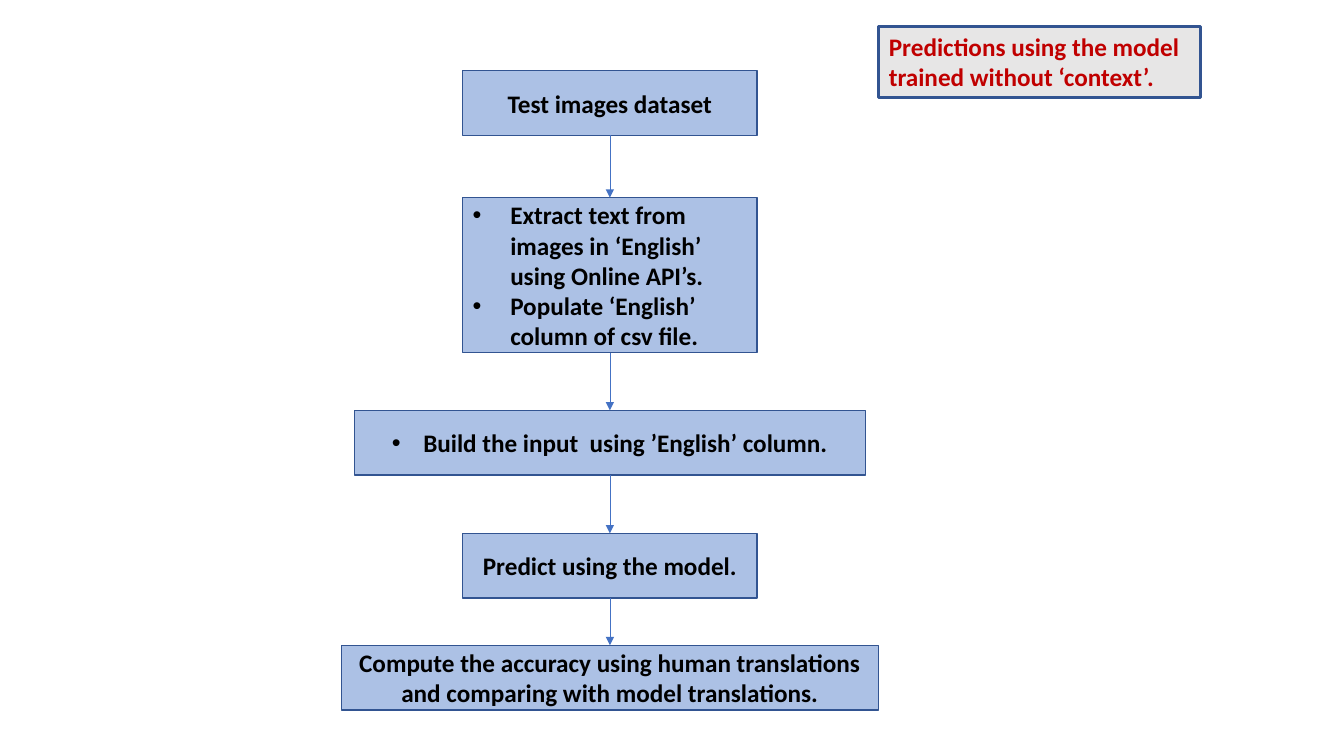
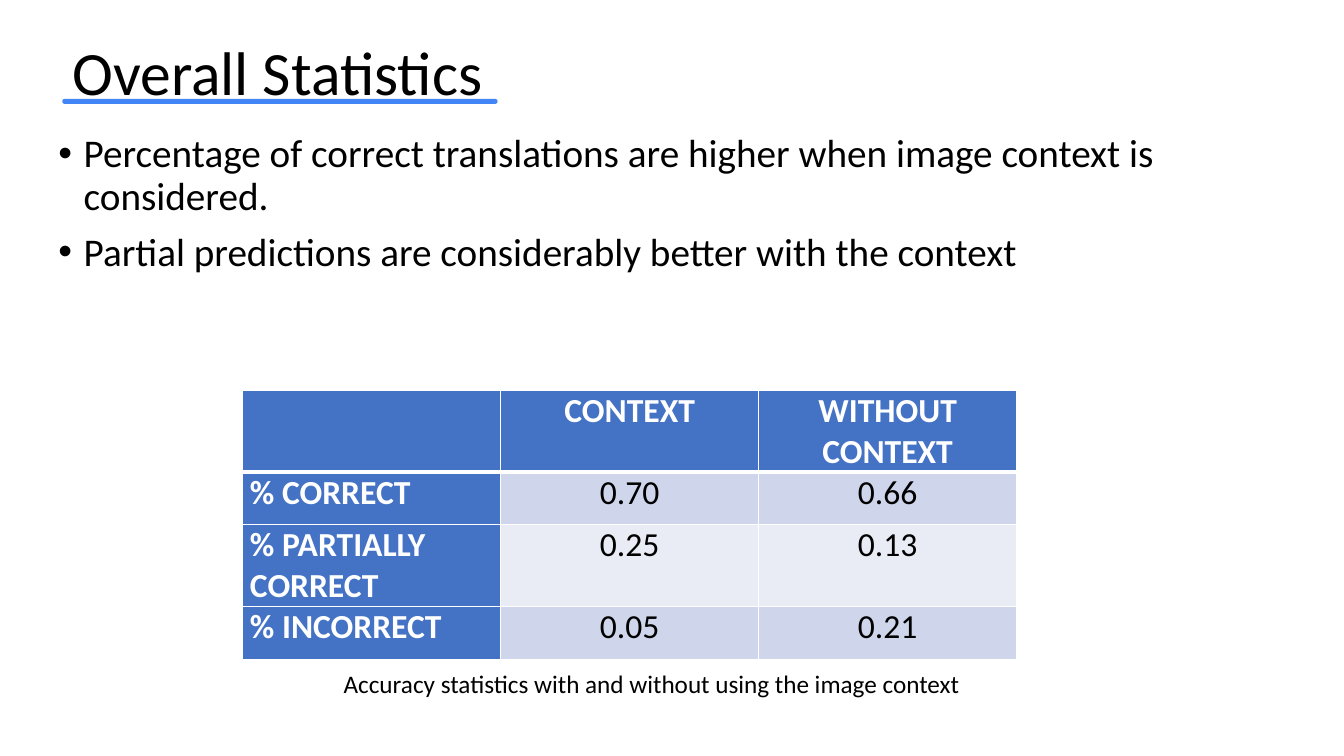
"""Builds a prediction flow chart slide and a slide of overall statistics."""
from itertools import pairwise

from lxml.etree import SubElement
from pptx import Presentation
from pptx.dml.color import RGBColor
from pptx.enum.shapes import MSO_CONNECTOR, MSO_SHAPE
from pptx.enum.text import MSO_ANCHOR, MSO_AUTO_SIZE, PP_ALIGN
from pptx.oxml import parse_xml
from pptx.oxml.ns import nsdecls, qn
from pptx.util import Cm, Pt

FONT = "Calibri"
COLORS = {
    "blue": "4472C4", "outline": "325491", "rule": "4285F4", "grey": "E7E6E6",
    "red": "C00000", "black": "000000", "white": "FFFFFF",
    "band_dark": "CFD5EA", "band_light": "E9EBF5",
}

FLOW_CENTER = 15.37
FLOW_STEPS = [
    {"top": 1.78, "width": 7.42, "height": 1.63, "lines": ["Test images dataset"]},
    {"top": 4.98, "width": 7.42, "height": 3.91, "indent": 0.95, "align": PP_ALIGN.LEFT,
     "lines": ["Extract text from images in ‘English’ using Online API’s.",
               "Populate ‘English’ column of csv file."]},
    {"top": 10.34, "width": 12.88, "height": 1.63, "indent": 0.79,
     "lines": ["Build the input  using ’English’ column."]},
    {"top": 13.44, "width": 7.42, "height": 1.63, "lines": ["Predict using the model."]},
    {"top": 16.26, "width": 13.54, "height": 1.63,
     "lines": ["Compute the accuracy using human translations and comparing "
               "with model translations."]},
]
FLOW_NOTE = "Predictions using the model trained without ‘context’."

TITLE = "Overall Statistics"
FINDINGS = [
    "Percentage of correct translations are higher when image context is considered.",
    "Partial predictions are considerably better with the context",
]
STATISTICS = [
    ("", "CONTEXT", "WITHOUT CONTEXT"),
    ("% CORRECT", "0.70", "0.66"),
    ("% PARTIALLY CORRECT", "0.25", "0.13"),
    ("% INCORRECT", "0.05", "0.21"),
]
COLUMN_WIDTH = 6.5
ROW_HEIGHTS = [2.07, 1.32, 2.07, 1.32]
CAPTION = "Accuracy statistics with and without using the image context"


def color(name):
    return RGBColor.from_string(COLORS[name])


def write(frame, lines, size, ink="black", bold=False, align=PP_ALIGN.LEFT,
          indent=0, line_spacing=None, space_before=0):
    frame.word_wrap = True
    for index, line in enumerate(lines):
        para = frame.add_paragraph() if index else frame.paragraphs[0]
        para.alignment = align
        if indent:
            properties = para._p.get_or_add_pPr()
            properties.set("marL", str(Cm(indent)))
            properties.set("indent", str(-Cm(indent)))
            SubElement(properties, qn("a:buFont")).set("typeface", "Arial")
            SubElement(properties, qn("a:buChar")).set("char", "•")
        if line_spacing:
            para.line_spacing = line_spacing
        if index:
            para.space_before = Pt(space_before)
        span = para.add_run()
        span.text = line
        span.font.name = FONT
        span.font.size = Pt(size)
        span.font.bold = bold
        span.font.color.rgb = color(ink)


def add_box(page, kind, left, top, width, height, fill, line_width=0, alpha=None):
    box = page.shapes.add_shape(kind, Cm(left), Cm(top), Cm(width), Cm(height))
    box.shadow.inherit = False
    box.fill.solid()
    box.fill.fore_color.rgb = color(fill)
    if alpha:
        tint = box.fill._xPr.find(qn("a:solidFill"))[0]
        SubElement(tint, qn("a:alpha")).set("val", str(alpha * 1000))
    if line_width:
        box.line.color.rgb = color("outline")
        box.line.width = Pt(line_width)
    else:
        box.line.fill.background()
    return box


def add_text(page, left, top, width, height, lines, size, **style):
    box = page.shapes.add_textbox(Cm(left), Cm(top), Cm(width), Cm(height))
    write(box.text_frame, lines, size, **style)


def add_arrow(page, upper, lower):
    arrow = page.shapes.add_connector(MSO_CONNECTOR.STRAIGHT, 0, 0, 0, 0)
    arrow.begin_connect(upper, 2)
    arrow.end_connect(lower, 0)
    arrow.line.color.rgb = color("blue")
    arrow.line.width = Pt(0.5)
    SubElement(arrow.line._get_or_add_ln(), qn("a:tailEnd")).set("type", "triangle")
    SubElement(arrow._element.spPr, qn("a:effectLst"))


def set_borders(cell, is_header):
    properties = cell._tc.get_or_add_tcPr()
    for position, side in enumerate("LRTB"):
        width = Pt(3 if is_header and side == "B" else 1)
        properties.insert(position, parse_xml(
            f'<a:ln{side} {nsdecls("a")} w="{width}"><a:solidFill>'
            f'<a:srgbClr val="{COLORS["white"]}"/></a:solidFill></a:ln{side}>'))


def add_statistics(page, left, top):
    columns = len(STATISTICS[0])
    table = page.shapes.add_table(
        len(STATISTICS), columns, Cm(left), Cm(top),
        Cm(COLUMN_WIDTH * columns), Cm(sum(ROW_HEIGHTS))).table
    for column in table.columns:
        column.width = Cm(COLUMN_WIDTH)
    for row, values in enumerate(STATISTICS):
        table.rows[row].height = Cm(ROW_HEIGHTS[row])
        for column, value in enumerate(values):
            cell = table.cell(row, column)
            is_heading = row == 0 or column == 0
            band = "band_dark" if row % 2 else "band_light"
            cell.fill.solid()
            cell.fill.fore_color.rgb = color("blue" if is_heading else band)
            cell.margin_left = cell.margin_right = Cm(0.18)
            cell.margin_top = cell.margin_bottom = 0
            set_borders(cell, row == 0)
            if value:
                write(cell.text_frame, [value], 24, bold=is_heading,
                      ink="white" if is_heading else "black",
                      align=PP_ALIGN.CENTER if column else PP_ALIGN.LEFT)


def build_flow(deck):
    page = deck.slides.add_slide(deck.slide_layouts[6])
    boxes = []
    for step in FLOW_STEPS:
        box = add_box(page, MSO_SHAPE.RECTANGLE, FLOW_CENTER - step["width"] / 2,
                      step["top"], step["width"], step["height"], "blue", 1, alpha=44)
        box.text_frame.vertical_anchor = MSO_ANCHOR.MIDDLE
        write(box.text_frame, step["lines"], 18, bold=True,
              align=step.get("align", PP_ALIGN.CENTER), indent=step.get("indent", 0))
        boxes.append(box)
    for upper, lower in pairwise(boxes):
        add_arrow(page, upper, lower)
    note = add_box(page, MSO_SHAPE.RECTANGLE, 22.15, 0.66, 8.1, 1.8, "grey", 2)
    note.text_frame.vertical_anchor = MSO_ANCHOR.TOP
    write(note.text_frame, [FLOW_NOTE], 18, ink="red", bold=True)


def build_statistics(deck):
    page = deck.slides.add_slide(deck.slide_layouts[5])
    title = page.shapes.title
    title.left, title.top, title.width, title.height = Cm(1.57), Cm(0.43), Cm(29.21), Cm(2.95)
    title.text_frame.auto_size = MSO_AUTO_SIZE.NONE
    title.text_frame.vertical_anchor = MSO_ANCHOR.MIDDLE
    write(title.text_frame, [TITLE], 44, line_spacing=0.9)
    rule = add_box(page, MSO_SHAPE.ROUNDED_RECTANGLE, 1.57, 2.49, 10.97, 0.13, "rule")
    rule.adjustments[0] = 0.5
    add_text(page, 1.22, 3.25, 30.76, 4.5, FINDINGS, 28,
             indent=0.64, line_spacing=0.9, space_before=10)
    add_statistics(page, 6.12, 9.83)
    add_text(page, 8.41, 16.71, 16.36, 1.02, [CAPTION], 18)


def main():
    deck = Presentation()
    deck.slide_width, deck.slide_height = Cm(33.87), Cm(19.05)
    build_flow(deck)
    build_statistics(deck)
    deck.save("out.pptx")


if __name__ == "__main__":
    main()
